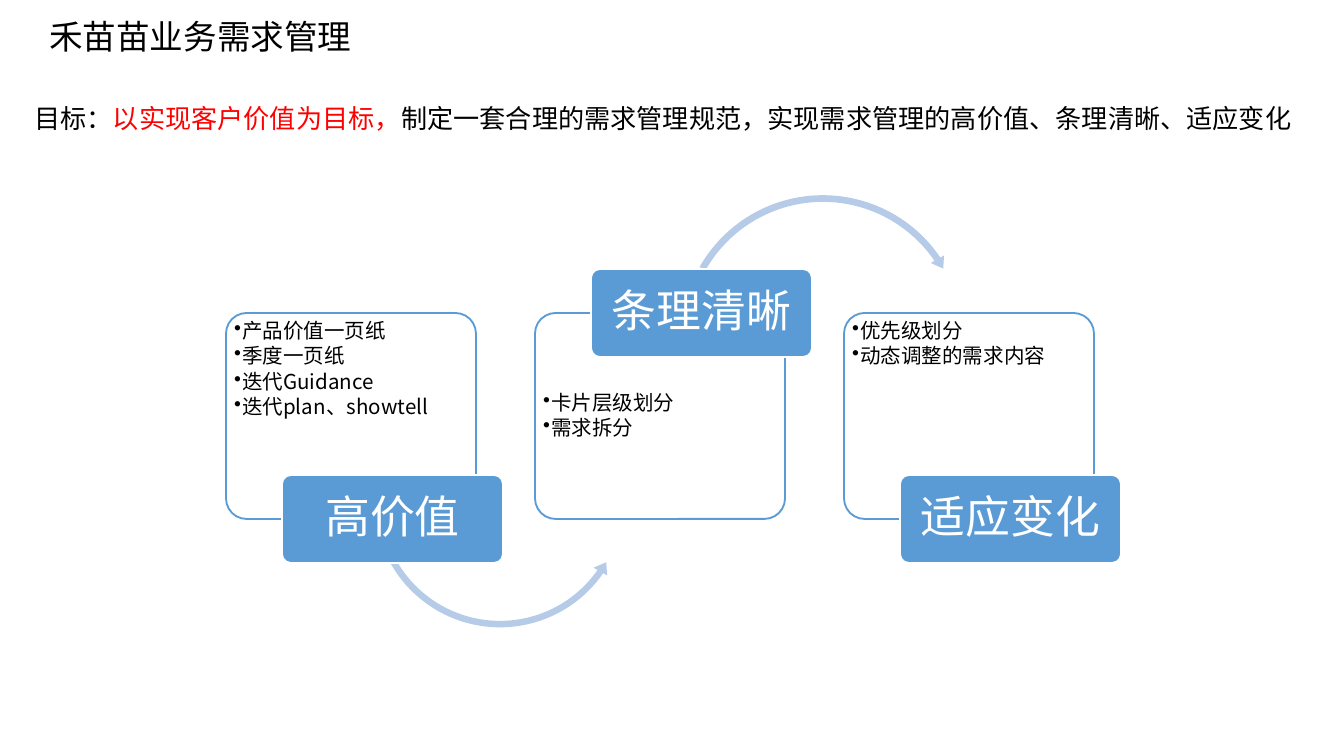
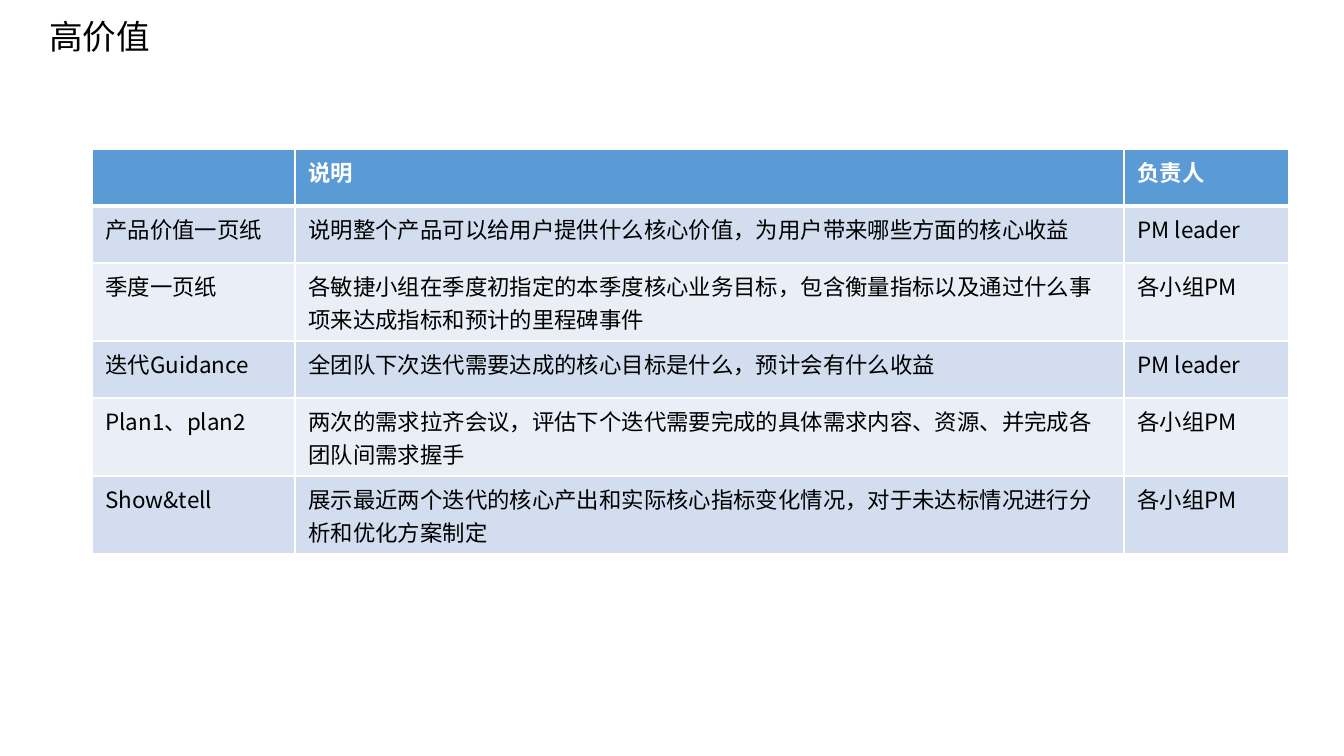
import pptx
import pptx.dml.color
import pptx.enum.shapes
import pptx.enum.text
import pptx.oxml
import pptx.oxml.ns
import pptx.util
from dataclasses import dataclass
from lxml import etree

SHAPE = pptx.enum.shapes.MSO_SHAPE
ANCHOR = pptx.enum.text.MSO_ANCHOR
ALIGN = pptx.enum.text.PP_ALIGN
qn = pptx.oxml.ns.qn


@dataclass(frozen=True)
class Theme:
    font: str = "Noto Sans CJK SC"
    black: str = "000000"
    white: str = "FFFFFF"
    red: str = "FF0000"
    blue: str = "5B9BD5"
    arrow: str = "B5CBE7"
    bands: tuple = ("D2DEEF", "EAEFF7")
    title: int = 18
    goal: int = 14
    tag: int = 24
    bullet: int = 11
    table: int = 12


T = Theme()

STEPS = [
    ("高价值", ["产品价值一页纸", "季度一页纸", "迭代Guidance", "迭代plan、showtell"]),
    ("条理清晰", ["卡片层级划分", "需求拆分"]),
    ("适应变化", ["优先级划分", "动态调整的需求内容"]),
]
GOAL = [
    ("目标：", T.black),
    ("以实现客户价值为目标，", T.red),
    ("制定一套合理的需求管理规范，实现需求管理的高价值、条理清晰、适应变化", T.black),
]
ONE_LINE, TWO_LINES = 57, 78
ROWS = [
    (ONE_LINE, ("", "说明", "负责人")),
    (ONE_LINE, ("产品价值一页纸", "说明整个产品可以给用户提供什么核心价值，为用户带来哪些方面的核心收益", "PM leader")),
    (TWO_LINES, ("季度一页纸", "各敏捷小组在季度初指定的本季度核心业务目标，包含衡量指标以及通过什么事项来达成指标和预计的里程碑事件", "各小组PM")),
    (ONE_LINE, ("迭代Guidance", "全团队下次迭代需要达成的核心目标是什么，预计会有什么收益", "PM leader")),
    (TWO_LINES, ("Plan1、plan2", "两次的需求拉齐会议，评估下个迭代需要完成的具体需求内容、资源、并完成各团队间需求握手", "各小组PM")),
    (TWO_LINES, ("Show&tell", "展示最近两个迭代的核心产出和实际核心指标变化情况，对于未达标情况进行分析和优化方案制定", "各小组PM")),
]


def px(n):
    return pptx.util.Emu(n * 9144000 // 1344)


def rgb(color):
    return pptx.dml.color.RGBColor.from_string(color)


def style(p, size, color, bold=False):
    for r in p.runs:
        r.font.size = pptx.util.Pt(size)
        r.font.bold = bold
        r.font.color.rgb = rgb(color)
        r.font.name = T.font
        etree.SubElement(r.font._element, qn("a:ea"), typeface=T.font)


def set_insets(tf, x, y, top=None):
    tf.margin_left = tf.margin_right = px(x)
    tf.margin_bottom = px(y)
    tf.margin_top = px(y if top is None else top)


def add_shape(s, kind, box, fill, line=None, adjustments=()):
    sp = s.shapes.add_shape(kind, *map(px, box))
    sp.shadow.inherit = False
    sp.fill.solid()
    sp.fill.fore_color.rgb = rgb(fill)
    if line:
        sp.line.color.rgb = rgb(line)
        sp.line.width = pptx.util.Pt(1)
    else:
        sp.line.fill.background()
    for i, value in enumerate(adjustments):
        sp.adjustments[i] = value
    return sp


def add_text_box(s, box):
    tf = s.shapes.add_textbox(*map(px, box)).text_frame
    tf.word_wrap = True
    return tf


def add_title(s, text):
    tf = add_text_box(s, (36, 10, 1153, 58))
    tf.vertical_anchor = ANCHOR.MIDDLE
    tf.text = text
    p = tf.paragraphs[0]
    p.line_spacing = 0.9
    style(p, T.title, T.black)


def add_goal(s, box):
    tf = add_text_box(s, box)
    tf.auto_size = pptx.enum.text.MSO_AUTO_SIZE.SHAPE_TO_FIT_TEXT
    p = tf.paragraphs[0]
    for text, color in GOAL:
        r = p.add_run()
        r.text = text
    style(p, T.goal, T.black)
    for r, (text, color) in zip(p.runs, GOAL):
        r.font.color.rgb = rgb(color)


def add_card(s, box, bullets, text_top):
    sp = add_shape(s, SHAPE.ROUNDED_RECTANGLE, box, T.white, T.blue, [0.1])
    color = sp.fill._xPr.find(qn("a:solidFill"))[0]
    etree.SubElement(color, qn("a:alpha"), val="90000")
    tf = sp.text_frame
    tf.word_wrap = True
    tf.vertical_anchor = ANCHOR.TOP
    set_insets(tf, 2, 3, text_top)
    tf.text = "\n".join(bullets)
    for p in tf.paragraphs:
        p.level = 1
        p.alignment = ALIGN.LEFT
        p.line_spacing = 0.9
        p.space_after = pptx.util.Pt(1.6)
        pPr = p._p.get_or_add_pPr()
        pPr.set("marL", str(px(8)))
        pPr.set("indent", str(-px(8)))
        etree.SubElement(pPr, qn("a:buChar"), char="•")
        style(p, T.bullet, T.black)


def add_tag(s, box, text):
    sp = add_shape(s, SHAPE.ROUNDED_RECTANGLE, box, T.blue, T.white, [0.1])
    tf = sp.text_frame
    tf.word_wrap = True
    tf.vertical_anchor = ANCHOR.MIDDLE
    set_insets(tf, 6, 4)
    tf.text = text
    p = tf.paragraphs[0]
    p.alignment = ALIGN.CENTER
    p.line_spacing = 0.9
    style(p, T.tag, T.white)


def add_process(s, x, y):
    """Cards in a row, their tags alternating below and above, joined by arrows."""
    pitch, card_w, card_h = 309, 250, 206
    arrows = [
        (SHAPE.LEFT_CIRCULAR_ARROW, (144, 59, 260, 260), (0.025, 3.094, 20.849, 90.245, 0.03)),
        (SHAPE.CIRCULAR_ARROW, (451, -122, 292, 292), (0.023, 2.738, 195.507, 125.755, 0.026)),
    ]
    for i, (name, bullets) in enumerate(STEPS):
        left, tag_above = x + i * pitch, i % 2 == 1
        add_card(s, (left, y, card_w, card_h), bullets, 74 if tag_above else 2)
        if i < len(arrows):
            kind, (dx, dy, w, h), adjustments = arrows[i]
            add_shape(s, kind, (x + dx, y + dy, w, h), T.arrow, adjustments=adjustments)
        add_tag(s, (left + 56, y + (-44 if tag_above else 162), 221, 88), name)


def set_borders(cell, widths):
    tcPr = cell._tc.get_or_add_tcPr()
    for side, width in zip("LRTB", widths):
        ln = etree.SubElement(tcPr, qn("a:ln" + side), w=str(pptx.util.Pt(width)))
        fill = etree.SubElement(ln, qn("a:solidFill"))
        etree.SubElement(fill, qn("a:srgbClr"), val=T.white)


def add_duty_table(s, x, y):
    widths = (203, 829, 165)
    box = (x, y, sum(widths), sum(height for height, _ in ROWS))
    table = s.shapes.add_table(len(ROWS), len(widths), *map(px, box)).table
    for column, width in zip(table.columns, widths):
        column.width = px(width)
    for i, (height, texts) in enumerate(ROWS):
        header = i == 0
        table.rows[i].height = px(height)
        for j, text in enumerate(texts):
            cell = table.cell(i, j)
            set_borders(cell, (1, 1, 3 if i == 1 else 1, 3 if header else 1))
            cell.fill.solid()
            cell.fill.fore_color.rgb = rgb(T.blue if header else T.bands[(i - 1) % 2])
            p = cell.text_frame.paragraphs[0]
            if text:
                p.text = text
                style(p, T.table, T.white if header else T.black, header)
            else:
                etree.SubElement(p._p, qn("a:endParaRPr"), sz=str(T.table * 100))


def overview_slide(s):
    add_title(s, "禾苗苗业务需求管理")
    add_goal(s, (21, 96, 1310, 46))
    add_process(s, 226, 313)


def value_slide(s):
    add_title(s, "高价值")
    add_duty_table(s, 92, 149)


def main():
    prs = pptx.Presentation()
    prs.slide_width, prs.slide_height = px(1344), px(756)
    for build in (overview_slide, value_slide):
        build(prs.slides.add_slide(prs.slide_layouts[6]))
    prs.save("out.pptx")


if __name__ == "__main__":
    main()
